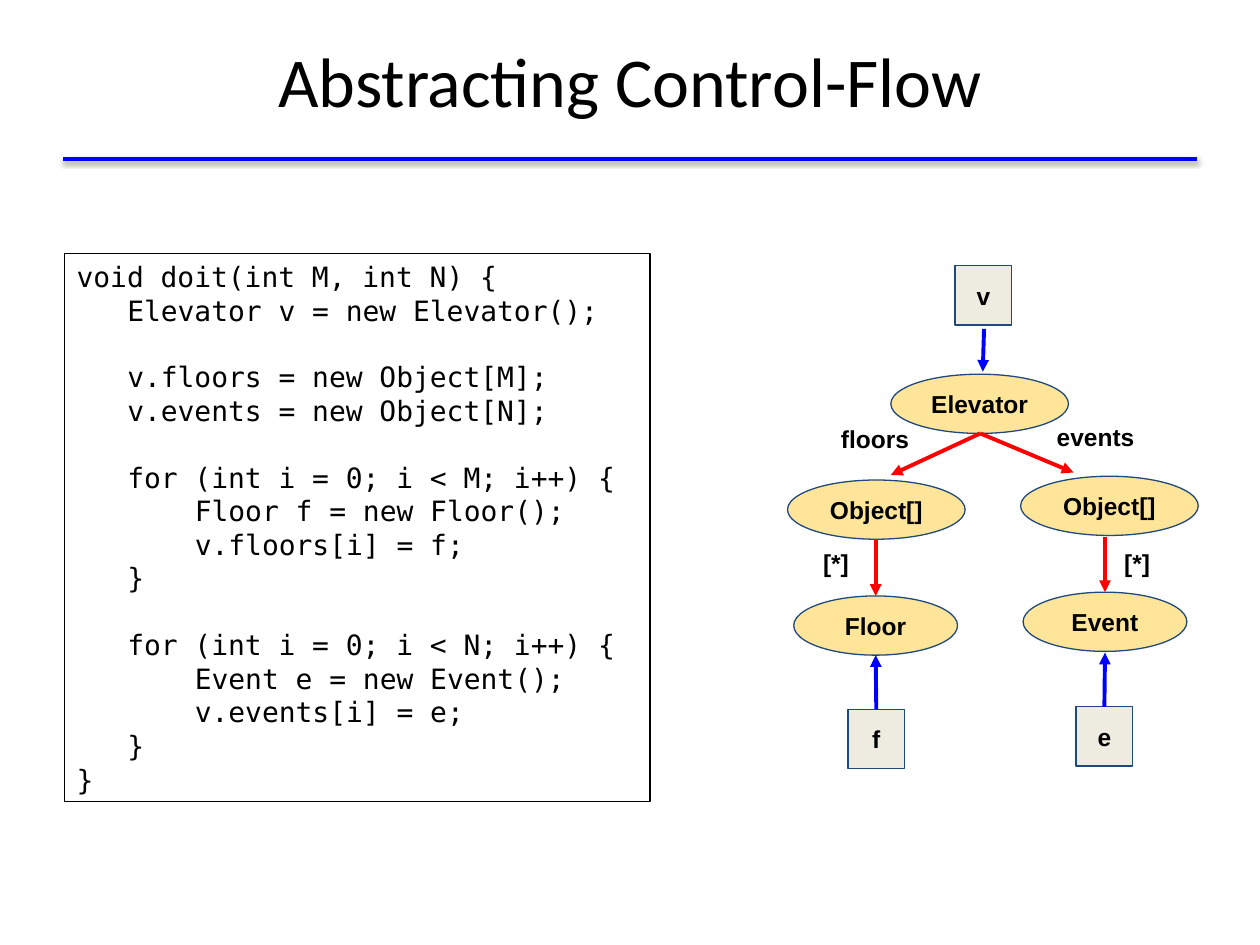
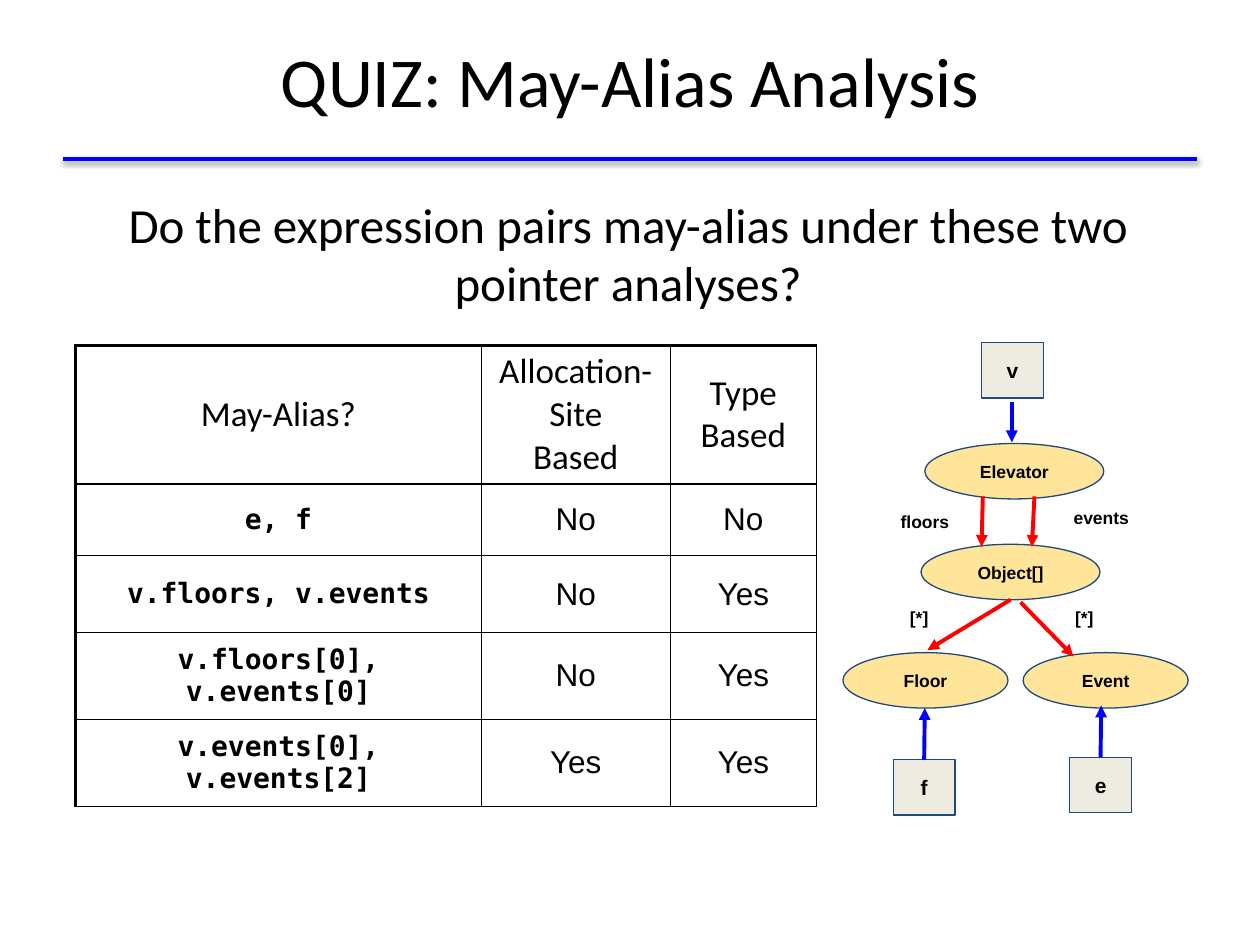
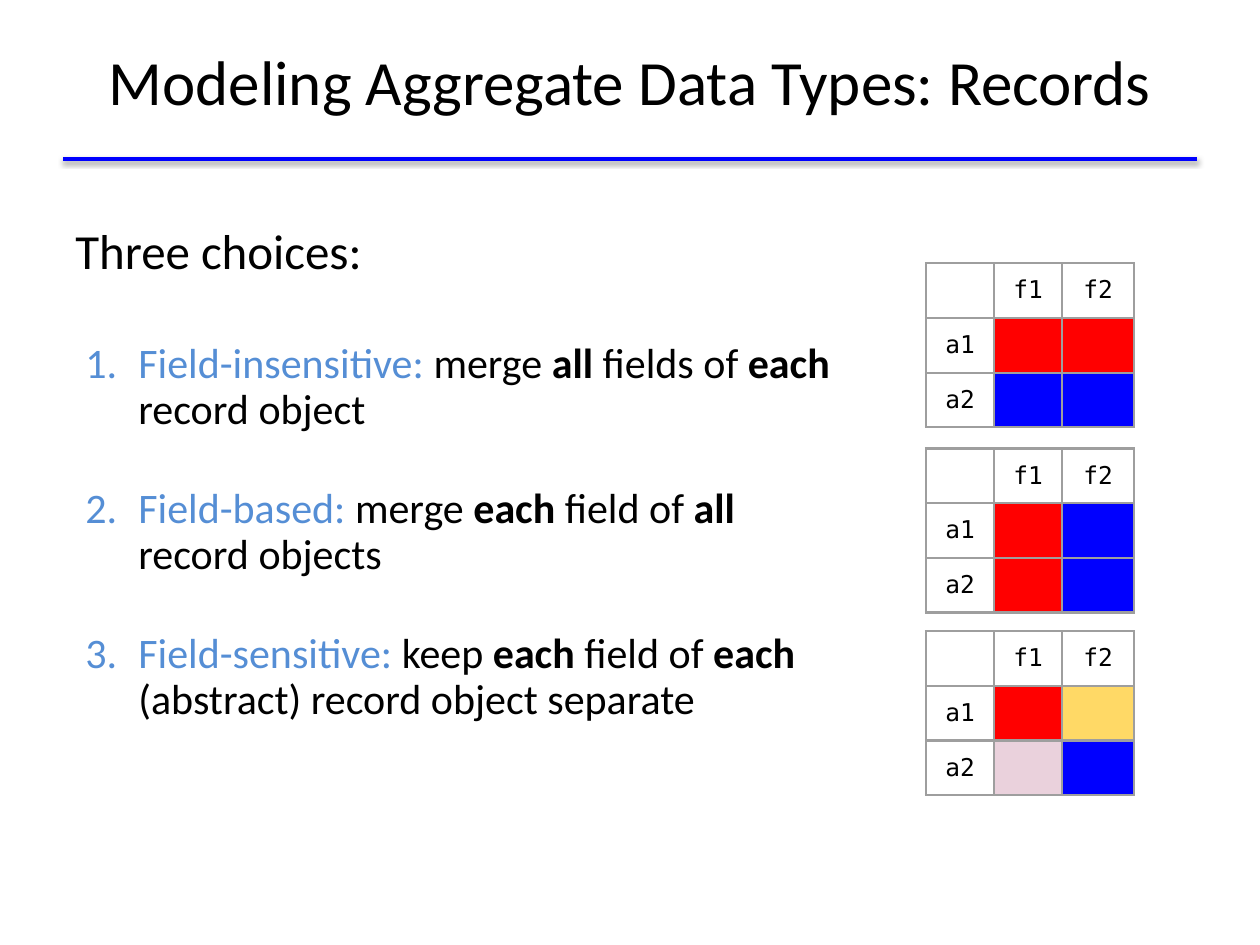
from dataclasses import dataclass

from lxml import etree
from pptx import Presentation
from pptx import util as u
from pptx.dml.color import RGBColor
from pptx.enum import shapes, text
from pptx.oxml import ns

In = u.Inches


@dataclass(frozen=True)
class Theme:
    black: str = "000000"
    blue: str = "0000FF"
    red: str = "FF0000"
    gold: str = "FFD966"
    pink: str = "EAD1DC"
    sky: str = "558ED5"
    gray: str = "9E9E9E"
    navy: str = "1F497D"
    sand: str = "FFE599"
    stone: str = "EEECE1"
    sans: str = "Calibri"
    plain: str = "Arial"
    mono: str = "DejaVu Sans Mono"
    title: int = 40
    lead: int = 28
    item: int = 24
    head: int = 20
    cell: int = 18
    code: int = 16
    note: int = 14


T = Theme()

CODE = [
    (0, 0, "void doit(int M, int N) {"),
    (3, 0, "Elevator v = new Elevator();"),
    (3, 1, "v.floors = new Object[M];"),
    (3, 0, "v.events = new Object[N];"),
    (3, 1, "for (int i = 0; i < M; i++) {"),
    (7, 0, "Floor f = new Floor();"),
    (7, 0, "v.floors[i] = f;"),
    (3, 0, "}"),
    (3, 1, "for (int i = 0; i < N; i++) {"),
    (7, 0, "Event e = new Event();"),
    (7, 0, "v.events[i] = e;"),
    (3, 0, "}"),
    (0, 0, "}"),
]

SITES = dict(
    high=0.47, tall=0.53, oval=14, var=14,
    ovals=[("Elevator", 0.82, 0.86, 1.41), ("Object[]", 0, 1.7, 1.41),
           ("Object[]", 1.85, 1.67, 1.41), ("Floor", 0.05, 2.62, 1.3),
           ("Event", 1.87, 2.59, 1.3)],
    vars=[("v", 1.33, 0, 0.45), ("f", 0.48, 3.52, 0.45), ("e", 2.29, 3.5, 0.45)],
    refs=[((1.56, 0.5), (1.55, 0.84)), ("f", (0.7, 3.09)), ("e", (2.52, 3.07))],
    fields=[((1.53, 1.33), (0.82, 1.66)), ((1.53, 1.33), (2.27, 1.64)),
            ((0.7, 2.17), (0.7, 2.62)), ((2.52, 2.15), (2.52, 2.59))],
    tags=[("floors", 0.27, 1.11, 0.85), ("events", 2.02, 1.09, 0.85),
          ("[*]", 0.1, 2.09, 0.57), ("[*]", 2.49, 2.09, 0.57)],
)

TYPES = dict(
    high=0.44, tall=0.5, oval=10, var=12,
    ovals=[("Elevator", 0.65, 0.8, 1.42), ("Object[]", 0.62, 1.6, 1.42),
           ("Floor", 0, 2.46, 1.31), ("Event", 1.43, 2.46, 1.31)],
    vars=[("v", 1.1, 0, 0.49), ("f", 0.4, 3.31, 0.49), ("e", 1.8, 3.29, 0.49)],
    refs=[((1.34, 0.47), (1.34, 0.79)), ("f", (0.65, 2.9)), ("e", (2.05, 2.88))],
    fields=[((1.11, 1.22), (1.1, 1.62)), ((1.52, 1.22), (1.5, 1.62)),
            ((1.33, 2.04), (0.67, 2.44)), ((1.41, 2.06), (1.83, 2.49))],
    tags=[("floors", 0.19, 1.17, 0.92), ("events", 1.55, 1.14, 1),
          ("[*]", 0.29, 1.93, 0.63), ("[*]", 1.6, 1.93, 0.63)],
)

QUIZ = [
    ("May-Alias?", "Allocation-Site\vBased", "Type\vBased"),
    ("e, f", "No", "No"),
    ("v.floors, v.events", "No", "Yes"),
    ("v.floors[0], v.events[0]", "No", "Yes"),
    ("v.events[0], v.events[2]", "Yes", "Yes"),
]

CHOICES = [
    ("Field-insensitive: ", "merge ", "*all ", "fields of ", "*each", " record object"),
    ("Field-based: ", "merge ", "*each", " field of ", "*all", "\n", "record objects"),
    ("Field-sensitive: ", "keep ", "*each", " field of ", "*each", "\n",
     "(abstract) record object separate"),
]

RECORDS = [
    (2.09, [(T.red, T.red), (T.blue, T.blue)]),
    (3.56, [(T.red, T.blue), (T.red, T.blue)]),
    (5.01, [(T.red, T.gold), (T.pink, T.blue)]),
]


def rgb(hue):
    return RGBColor.from_string(hue)


def add(root, tag, **attrs):
    return etree.SubElement(root, ns.qn(tag), {k: str(v) for k, v in attrs.items()})


def style(font, face, size, hue=T.black, bold=False):
    font.name, font.size, font.bold = face, u.Pt(size), bold
    font.color.rgb = rgb(hue)


def pad(frame, side, top):
    frame.margin_left = frame.margin_right = In(side)
    frame.margin_top = frame.margin_bottom = In(top)
    frame.word_wrap = True


def area(slide, box, side=0.1, top=0.05):
    shape = slide.shapes.add_textbox(*map(In, box))
    pad(shape.text_frame, side, top)
    return shape


def center(frame, words, face, size, bold=False):
    frame.text = words
    frame.vertical_anchor = text.MSO_ANCHOR.MIDDLE
    para = frame.paragraphs[0]
    para.alignment = text.PP_ALIGN.CENTER
    style(para.font, face, size, bold=bold)


def link(slide, start, end, hue, width):
    line = slide.shapes.add_connector(
        shapes.MSO_CONNECTOR.STRAIGHT, *map(In, (*start, *end)))
    line.line.color.rgb = rgb(hue)
    line.line.width = u.Pt(width)
    return line, add(line._element.spPr, "a:effectLst")


def page(deck, title, size=T.title):
    slide = deck.slides.add_slide(deck.slide_layouts[5])
    head = slide.shapes.title
    head.left, head.top, head.width, head.height = map(In, (0.5, 0.01, 9, 1.25))
    pad(head.text_frame, 0.1, 0.05)
    center(head.text_frame, title, T.sans, size)
    _, fx = link(slide, (0.5, 1.26), (9.5, 1.26), T.blue, 2)
    shade = add(fx, "a:outerShdw", blurRad=u.Pt(3.1), dist=u.Pt(1.6),
                dir=5400000, rotWithShape=0)
    add(add(shade, "a:srgbClr", val=T.black), "a:alpha", val=38000)
    return slide


def listing(slide, box):
    shape = area(slide, box)
    shape.line.color.rgb = rgb(T.black)
    shape.line.width = u.Pt(0.75)
    frame = shape.text_frame
    for n, (dent, gap, words) in enumerate(CODE):
        para = frame.add_paragraph() if n else frame.paragraphs[0]
        para.text = words
        para.space_before = u.Pt(19 * gap)
        para._p.get_or_add_pPr().set("marL", str(In(0.134 * dent)))
        style(para.font, T.mono, T.code)


def node(slide, kind, box, words, fill, size):
    shape = slide.shapes.add_shape(kind, *map(In, box))
    shape.shadow.inherit = False
    shape.fill.solid()
    shape.fill.fore_color.rgb = rgb(fill)
    shape.line.color.rgb = rgb(T.navy)
    shape.line.width = u.Pt(0.75)
    pad(shape.text_frame, 0.1, 0.1)
    center(shape.text_frame, words, T.plain, size, True)
    return shape


def graph(slide, left, top, plan):
    kinds = shapes.MSO_SHAPE
    high = plan["high"]

    def move(spot):
        return left + spot[0], top + spot[1]

    for words, x, y, wide in plan["ovals"]:
        node(slide, kinds.OVAL, (*move((x, y)), wide, high), words, T.sand, plan["oval"])
    rects = {
        words: node(slide, kinds.RECTANGLE, (*move((x, y)), wide, high),
                    words, T.stone, plan["var"])
        for words, x, y, wide in plan["vars"]}
    for key, hue in (("refs", T.blue), ("fields", T.red)):
        for start, end in plan[key]:
            rect = rects.get(start)
            spot = end if rect else start
            line, _ = link(slide, move(spot), move(end), hue, 2.25)
            if rect:
                line.begin_connect(rect, 0)
            add(line.line._get_or_add_ln(), "a:tailEnd", type="triangle")
    for words, x, y, wide in plan["tags"]:
        tag = area(slide, (*move((x, y)), wide, plan["tall"]), top=0.1)
        center(tag.text_frame, words, T.plain, plan["oval"], True)


def border(cell, hue, widths):
    props = cell._tc.get_or_add_tcPr()
    for side, width in zip("LRTB", widths):
        edge = add(props, "a:ln" + side, w=u.Pt(width))
        add(add(edge, "a:solidFill"), "a:srgbClr", val=hue)


def grid(slide, left, top, cols, rows):
    box = map(In, (left, top, sum(cols), sum(rows)))
    table = slide.shapes.add_table(len(rows), len(cols), *box).table
    table.first_row = table.horz_banding = False
    for col, wide in zip(table.columns, cols):
        col.width = In(wide)
    for row, high in zip(table.rows, rows):
        row.height = In(high)
    return table


def quiz(slide, left, top):
    table = grid(slide, left, top, (3.22, 1.5, 1.16), (1.1, 0.57, 0.61, 0.69, 0.69))
    for r, row in enumerate(QUIZ):
        for c, words in enumerate(row):
            cell = table.cell(r, c)
            border(cell, T.black, (1 if c else 2.25, 1, 1 if r else 2.25, 1))
            cell.fill.background()
            cell.margin_top = cell.margin_bottom = In(0.04)
            cell.vertical_anchor = text.MSO_ANCHOR.MIDDLE
            if r == 0:
                look = T.sans, T.head
            elif c == 0:
                look = T.mono, T.code
            else:
                look = T.plain, T.cell
            center(cell.text_frame, words, *look, bold=r > 0 and c == 0)


def record(slide, left, top, hues):
    table = grid(slide, left, top, (0.54, 0.54, 0.57), (0.43,) * 3)
    marks = {(0, 1): "f1", (0, 2): "f2", (1, 0): "a1", (2, 0): "a2"}
    for r in range(3):
        for c in range(3):
            cell = table.cell(r, c)
            border(cell, T.gray, (1.5,) * 4)
            if r and c:
                cell.fill.solid()
                cell.fill.fore_color.rgb = rgb(hues[r - 1][c - 1])
            else:
                cell.fill.background()
            if (r, c) in marks:
                cell.margin_top = cell.margin_bottom = In(0.1)
                cell.text = marks[r, c]
                para = cell.text_frame.paragraphs[0]
                para.alignment = text.PP_ALIGN.CENTER
                style(para.font, T.mono, T.note)


def choices(slide, box):
    frame = area(slide, box).text_frame
    lead = frame.paragraphs[0]
    lead.text = "Three choices:"
    lead.line_spacing, lead.space_before = 0.9, u.Pt(5)
    style(lead.font, T.sans, T.lead)
    for n, parts in enumerate(CHOICES):
        para = frame.add_paragraph()
        para.line_spacing, para.space_before = 0.9, u.Pt(31 if n else 36)
        props = para._p.get_or_add_pPr()
        props.set("marL", str(In(0.5)))
        props.set("indent", str(In(-0.42)))
        add(add(props, "a:buClr"), "a:srgbClr", val=T.sky)
        add(props, "a:buAutoNum", type="arabicPeriod")
        for k, part in enumerate(parts):
            if part == "\n":
                para.add_line_break()
                continue
            run = para.add_run()
            run.text = part.lstrip("*")
            style(run.font, T.sans, T.item, T.black if k else T.sky, part[0] == "*")


def main():
    deck = Presentation()
    deck.slide_width, deck.slide_height = In(10), In(7.5)

    flow = page(deck, "Abstracting Control-Flow")
    listing(flow, (0.51, 2.01, 4.65, 4.35))
    graph(flow, 6.25, 2.11, SITES)

    alias = page(deck, "QUIZ: May-Alias Analysis")
    quiz(alias, 0.6, 2.74)
    graph(alias, 6.69, 2.72, TYPES)
    ask = area(alias, (0.56, 1.44, 8.85, 1.02), top=0.1).text_frame
    center(ask, "Do the expression pairs may-alias under these two pointer analyses?",
           T.sans, T.lead)
    ask.vertical_anchor = text.MSO_ANCHOR.TOP

    model = page(deck, "Modeling Aggregate Data Types: Records", 36)
    choices(model, (0.5, 1.75, 6.76, 4.98))
    for top, hues in RECORDS:
        record(model, 7.35, top, hues)

    deck.save("out.pptx")


if __name__ == "__main__":
    main()
